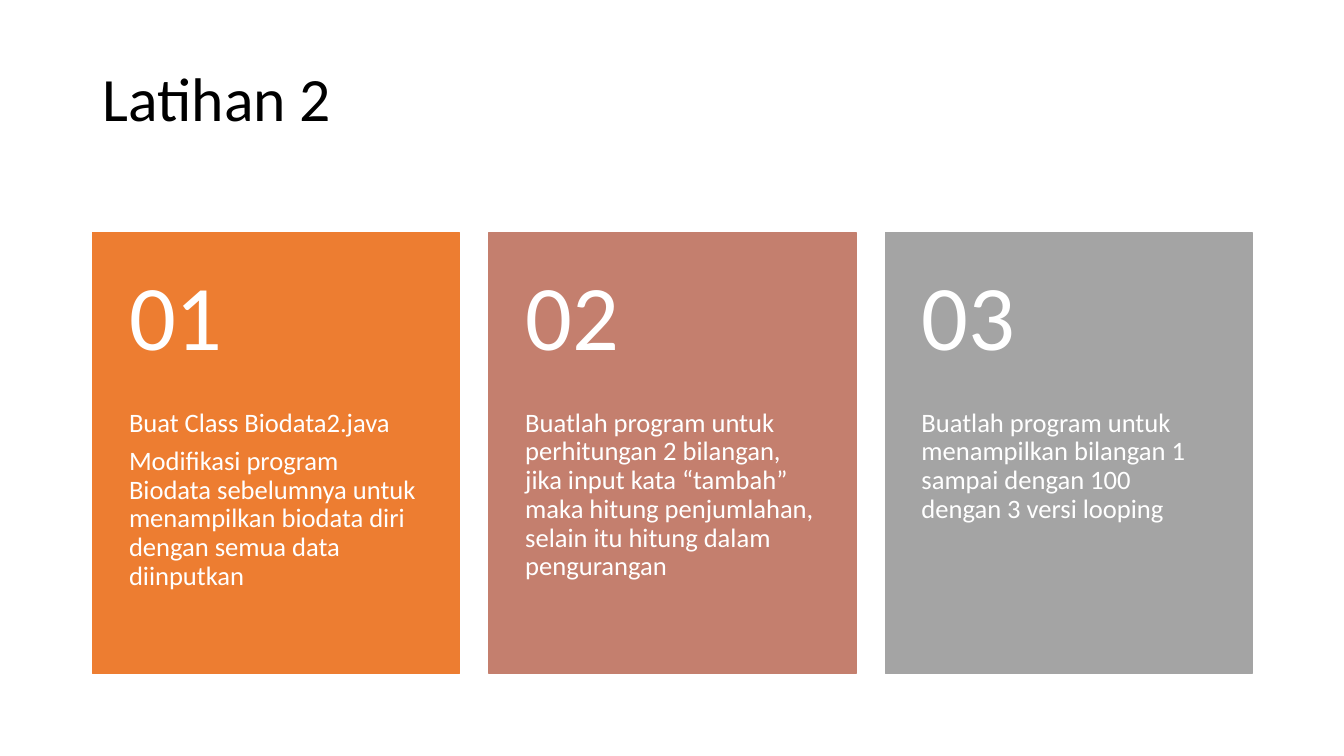
from dataclasses import dataclass

import pptx
import pptx.dml.color
import pptx.enum.shapes
import pptx.enum.text
import pptx.slide
import pptx.util

Inches = pptx.util.Inches
RGBColor = pptx.dml.color.RGBColor
Anchor = pptx.enum.text.MSO_ANCHOR

BLACK = RGBColor(0x00, 0x00, 0x00)
WHITE = RGBColor(0xFF, 0xFF, 0xFF)
ORANGE = RGBColor(0xED, 0x7D, 0x31)
TERRACOTTA = RGBColor(0xC4, 0x7F, 0x6E)
GRAY = RGBColor(0xA4, 0xA4, 0xA4)

FONT = "Calibri"
MARGIN = 0.92
CARD_TOP, CARD_WIDTH, CARD_HEIGHT = 2.31, 3.64, 4.37
CARD_STEP = 3.93
NUMBER_HEIGHT = 1.75
CARD_INSET = 0.36


@dataclass(frozen=True)
class Exercise:
    color: RGBColor
    paragraphs: tuple[str, ...]


EXERCISES = (
    Exercise(ORANGE, (
        "Buat Class Biodata2.java",
        "Modifikasi program Biodata sebelumnya untuk menampilkan biodata diri "
        "dengan semua data diinputkan",
    )),
    Exercise(TERRACOTTA, (
        "Buatlah program untuk perhitungan 2 bilangan, jika input kata “tambah” "
        "maka hitung penjumlahan, selain itu hitung dalam pengurangan",
    )),
    Exercise(GRAY, (
        "Buatlah program untuk menampilkan bilangan 1 sampai dengan 100 "
        "dengan 3 versi looping",
    )),
)


def add_text(slide: pptx.slide.Slide, paragraphs: tuple[str, ...], *,
             left: float, top: float, width: float, height: float,
             size: float, color: RGBColor, anchor: Anchor = Anchor.TOP,
             insets: tuple[float, float, float, float] = (0.1, 0.05, 0.1, 0.05),
             gap: float = 0) -> None:
    """Add a text box; insets run left, top, right, bottom, gap is in points."""
    box = slide.shapes.add_textbox(Inches(left), Inches(top), Inches(width), Inches(height))
    frame = box.text_frame
    frame.word_wrap = True
    frame.vertical_anchor = anchor
    (frame.margin_left, frame.margin_top,
     frame.margin_right, frame.margin_bottom) = map(Inches, insets)
    for index, text in enumerate(paragraphs):
        paragraph = frame.add_paragraph() if index else frame.paragraphs[0]
        paragraph.line_spacing = 0.9
        paragraph.space_before = pptx.util.Pt(gap if index else 0)
        run = paragraph.add_run()
        run.text = text
        run.font.name = FONT
        run.font.size = pptx.util.Pt(size)
        run.font.color.rgb = color


def add_card(slide: pptx.slide.Slide, exercise: Exercise, number: int) -> None:
    left = MARGIN + (number - 1) * CARD_STEP
    card = slide.shapes.add_shape(
        pptx.enum.shapes.MSO_SHAPE.RECTANGLE,
        Inches(left), Inches(CARD_TOP), Inches(CARD_WIDTH), Inches(CARD_HEIGHT))
    card.shadow.inherit = False
    card.fill.solid()
    card.fill.fore_color.rgb = exercise.color
    card.line.color.rgb = exercise.color
    card.line.width = pptx.util.Pt(1)

    add_text(slide, exercise.paragraphs, left=left, top=CARD_TOP + NUMBER_HEIGHT,
             width=CARD_WIDTH, height=CARD_HEIGHT - NUMBER_HEIGHT, size=19,
             color=WHITE, insets=(CARD_INSET, 0, CARD_INSET, CARD_INSET), gap=6.7)
    add_text(slide, (f"{number:02d}",), left=left, top=CARD_TOP,
             width=CARD_WIDTH, height=NUMBER_HEIGHT, size=66, color=WHITE,
             anchor=Anchor.MIDDLE, insets=(CARD_INSET, 0.18, CARD_INSET, 0.18))


def main() -> None:
    presentation = pptx.Presentation()
    presentation.slide_width = Inches(13.33)
    presentation.slide_height = Inches(7.5)
    slide = presentation.slides.add_slide(presentation.slide_layouts[6])

    add_text(slide, ("Latihan 2",), left=MARGIN, top=0.28, width=11.49, height=1.11,
             size=44, color=BLACK, anchor=Anchor.BOTTOM)
    for number, exercise in enumerate(EXERCISES, start=1):
        add_card(slide, exercise, number)

    presentation.save("out.pptx")


if __name__ == "__main__":
    main()
